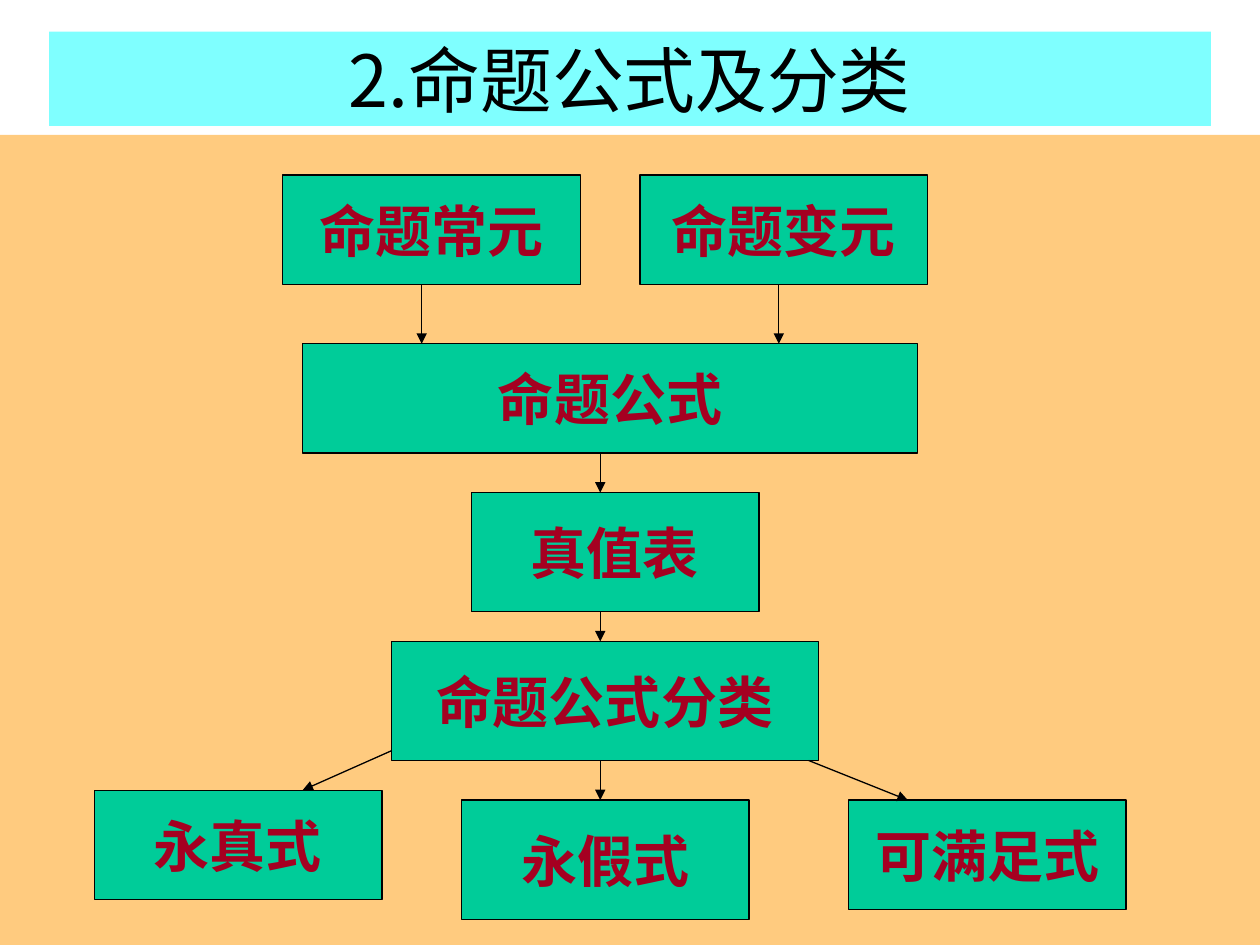
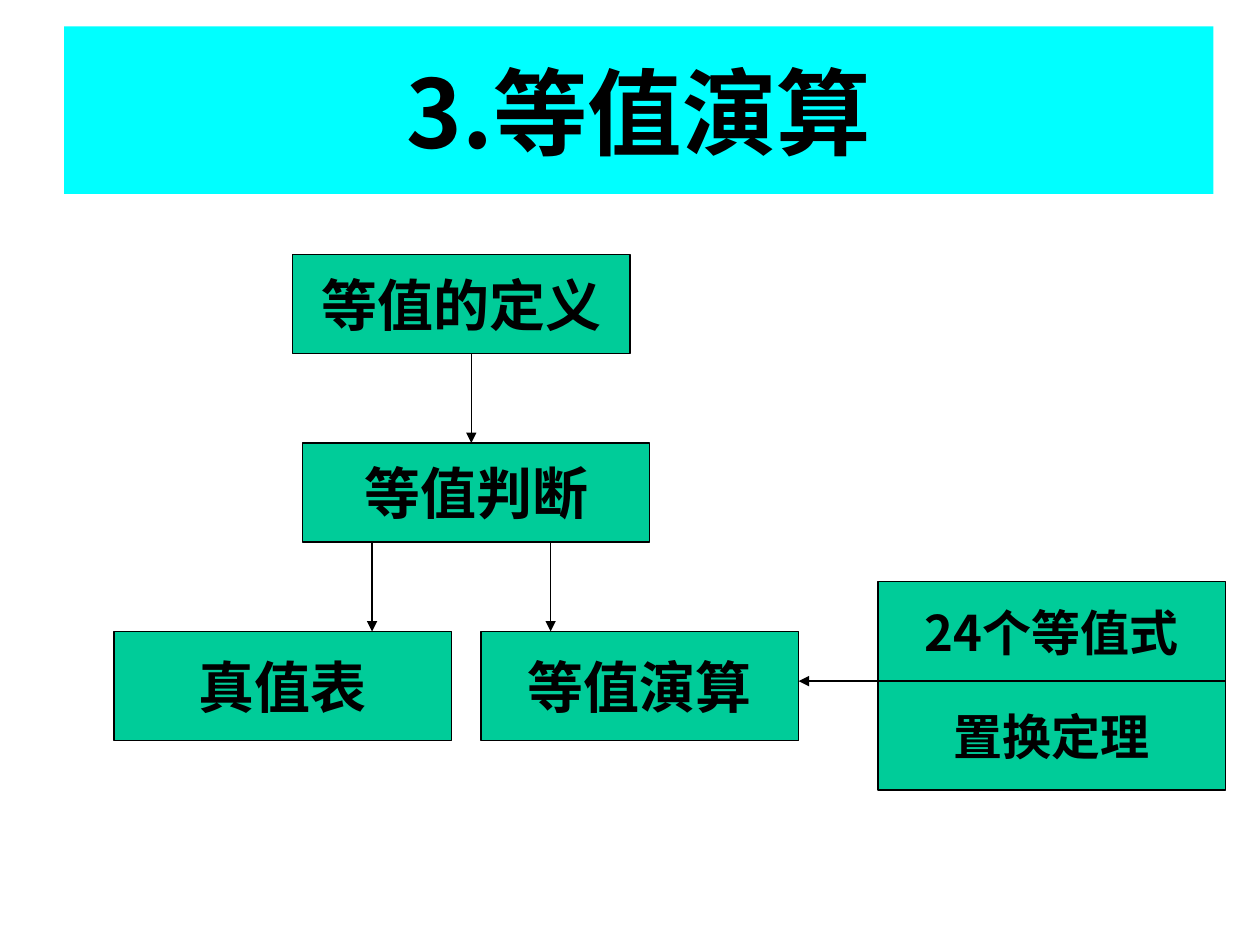
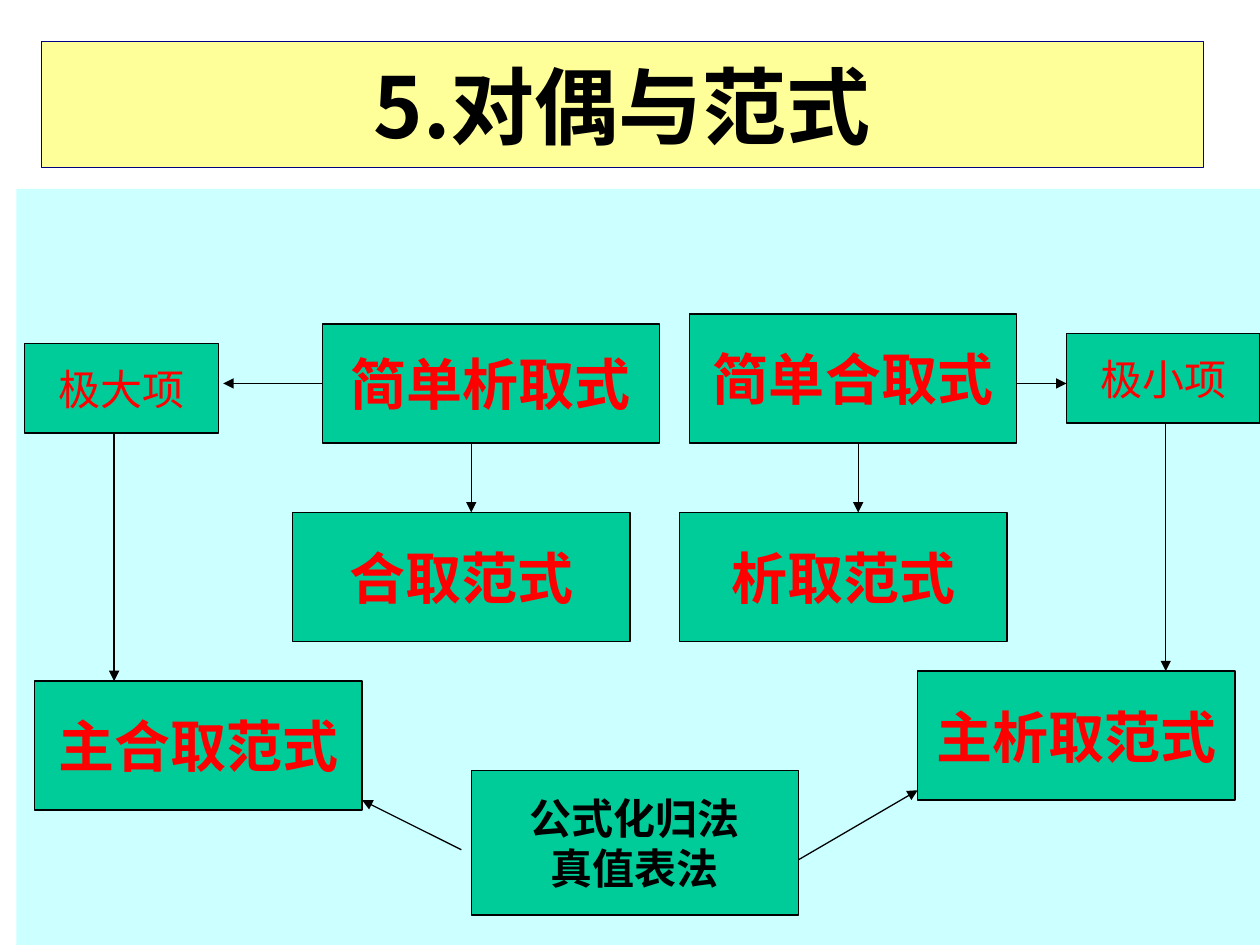
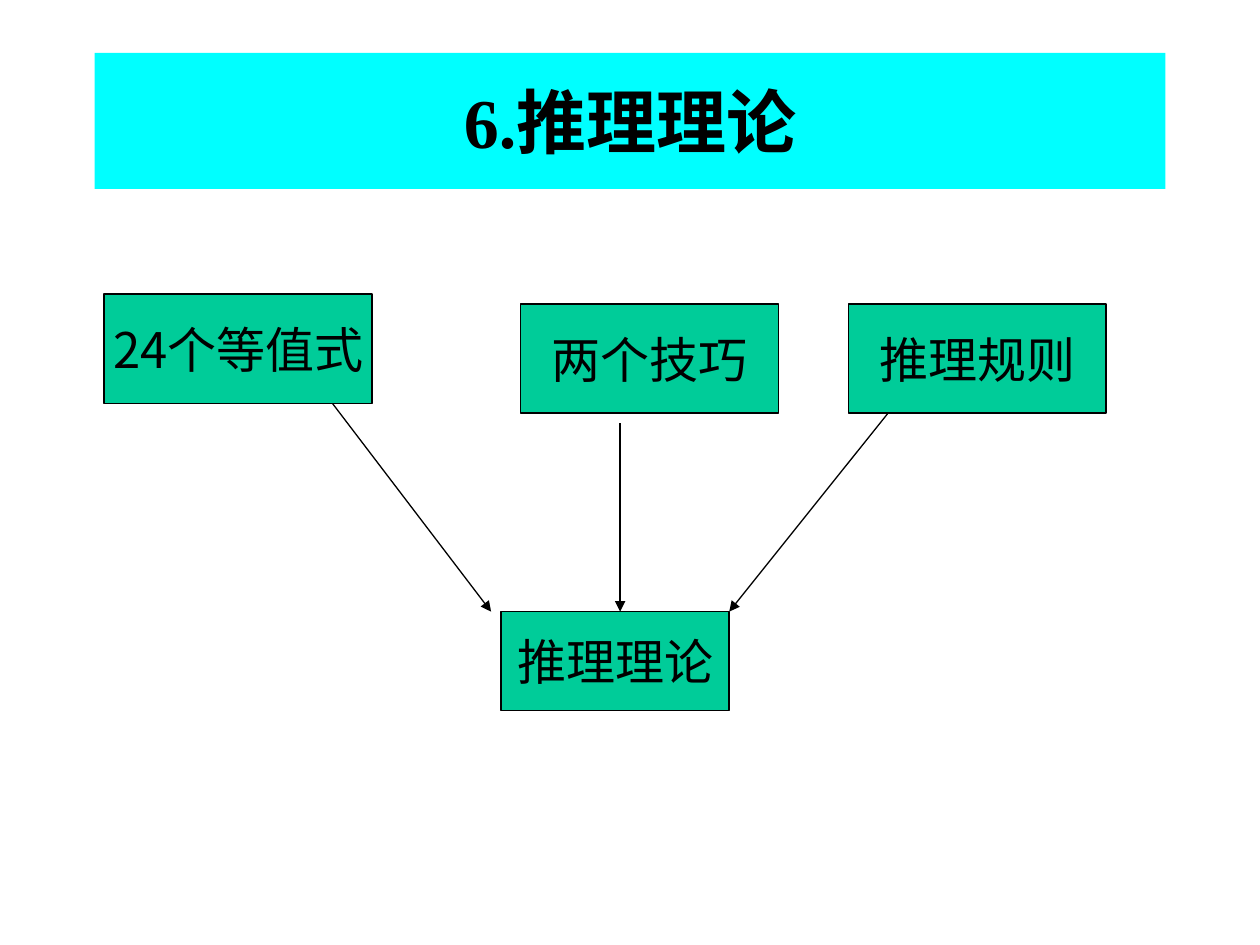
from dataclasses import dataclass

from lxml import etree
from pptx import Presentation
from pptx.dml.color import RGBColor
from pptx.enum.shapes import MSO_CONNECTOR, MSO_SHAPE
from pptx.enum.text import MSO_ANCHOR, MSO_AUTO_SIZE, PP_ALIGN
from pptx.oxml.ns import qn
from pptx.util import Inches, Mm, Pt

RECTANGLE = MSO_SHAPE.RECTANGLE
PROCESS = MSO_SHAPE.FLOWCHART_PROCESS
STRAIGHT = MSO_CONNECTOR.STRAIGHT
MIDDLE = MSO_ANCHOR.MIDDLE
CENTER = PP_ALIGN.CENTER
NO_AUTOFIT = MSO_AUTO_SIZE.NONE
TITLE_ONLY = 5

# Shared colours, fonts and line width
GREEN, CYAN, YELLOW = "00CC99", "00FFFF", "FFFF99"
ORANGE, PALE_CYAN, NAVY = "FF9900", "CCFFFF", "000080"
BLACK, CRIMSON, RED = "000000", "A50021", "FF0000"
SERIF, SANS, SANS_JP = "Times New Roman", "Noto Sans CJK SC", "Noto Sans CJK JP"
LINE_WIDTH = Pt(0.75)

# Diagram grid: 2 mm cells, counted from a small corner offset
CELL = Mm(2)
GRID_LEFT, GRID_TOP = Mm(1), Mm(1.3)


@dataclass
class NodeStyle:
    """Look of the diagram boxes on one slide."""
    color: str = BLACK
    size: int = 32
    bold: bool = True
    font: str = SERIF
    outline: int = RECTANGLE


def rgb(code):
    return RGBColor.from_string(code)


def column(number):
    return GRID_LEFT + round(number * CELL)


def row(number):
    return GRID_TOP + round(number * CELL)


def paint(shape, fill, line=None, opacity=100):
    """Fill a shape and give it a thin outline or none."""
    shape.fill.solid()
    shape.fill.fore_color.rgb = rgb(fill)
    if opacity < 100:
        color = shape.fill._xPr.find(qn("a:solidFill"))[0]
        etree.SubElement(color, qn("a:alpha"), val=str(opacity * 1000))
    if line:
        shape.line.color.rgb = rgb(line)
        shape.line.width = LINE_WIDTH
    else:
        shape.line.fill.background()


def write(shape, text, font, size, color, bold):
    """Put centred text in a shape, one paragraph per line."""
    frame = shape.text_frame
    frame.text = text
    frame.vertical_anchor = MIDDLE
    for paragraph in frame.paragraphs:
        paragraph.alignment = CENTER
        paragraph.font.name = font
        paragraph.font.size = Pt(size)
        paragraph.font.bold = bold
        paragraph.font.color.rgb = rgb(color)


def add_titled_slide(deck, text, place, size, font=SANS, bold=True,
                     fill=CYAN, line=None, opacity=100):
    """Add a slide whose title stands on a coloured band."""
    slide = deck.slides.add_slide(deck.slide_layouts[TITLE_ONLY])
    title = slide.shapes.title
    title.left, title.top, title.width, title.height = map(Inches, place)
    paint(title, fill, line, opacity)
    write(title, text, font, size, BLACK, bold)
    title.text_frame.auto_size = NO_AUTOFIT
    return slide


def add_panel(slide, place, fill, opacity=100):
    """Add the coloured ground behind a diagram."""
    panel = slide.shapes.add_shape(RECTANGLE, *map(Inches, place))
    panel.shadow.inherit = False
    paint(panel, fill, opacity=opacity)


def add_node(slide, text, left, top, columns, rows, style):
    node = slide.shapes.add_shape(
        style.outline, column(left), row(top),
        round(columns * CELL), round(rows * CELL))
    node.shadow.inherit = False
    paint(node, GREEN, BLACK)
    write(node, text, style.font, style.size, style.color, style.bold)
    node.text_frame.word_wrap = False


def add_arrow(slide, start_column, start_row, end_column, end_row):
    arrow = slide.shapes.add_connector(
        STRAIGHT, column(start_column), row(start_row),
        column(end_column), row(end_row))
    arrow.line.color.rgb = rgb(BLACK)
    arrow.line.width = LINE_WIDTH
    etree.SubElement(arrow.line._get_or_add_ln(), qn("a:tailEnd"), type="triangle")
    etree.SubElement(arrow._element.spPr, qn("a:effectLst"))


def add_diagram(slide, nodes, arrows, style):
    """Draw boxes (text, left, top, columns, rows[, style]) and arrows."""
    for text, left, top, columns, rows, *own_style in nodes:
        add_node(slide, text, left, top, columns, rows, *(own_style or [style]))
    for arrow in arrows:
        add_arrow(slide, *arrow)


def add_formula_slide(deck):
    slide = add_titled_slide(deck, "2.命题公式及分类", (0.39, 0.25, 9.22, 0.75),
                             41, SANS_JP, bold=False, opacity=50)
    add_panel(slide, (0, 1.07, 10, 6.43), ORANGE, opacity=50)
    nodes = [
        ("命题常元", 28, 17, 30, 11),
        ("命题变元", 64, 17, 29, 11),
        ("命题公式", 30, 34, 62, 11),
        ("真值表", 47, 49, 29, 12),
        ("命题公式分类", 39, 64, 43, 12),
        ("永真式", 9, 79, 29, 11),
        ("永假式", 46, 80, 29, 12),
        ("可满足式", 85, 80, 28, 11),
    ]
    arrows = [
        (42, 28, 42, 34), (78, 28, 78, 34),
        (60, 45, 60, 49), (60, 61, 60, 64),
        (39, 75, 30, 79), (60, 76, 60, 80), (81, 76, 91, 80),
    ]
    add_diagram(slide, nodes, arrows, NodeStyle(CRIMSON, outline=PROCESS))


def add_equivalence_slide(deck):
    slide = add_titled_slide(deck, "3.等值演算", (0.51, 0.21, 9.12, 1.33), 54)
    nodes = [
        ("等值的定义", 29, 25, 34, 10),
        ("等值判断", 30, 44, 35, 10),
        ("真值表", 11, 63, 34, 11),
        ("等值演算", 48, 63, 32, 11),
        ("24个等值式", 88, 58, 35, 10, NodeStyle(size=28, font=SANS)),
        ("置换定理", 88, 68, 35, 11, NodeStyle(size=28)),
    ]
    arrows = [
        (47, 35, 47, 44), (37, 54, 37, 63),
        (55, 54, 55, 63), (88, 68, 80, 68),
    ]
    add_diagram(slide, nodes, arrows, NodeStyle())


def add_normal_form_slide(deck):
    slide = add_titled_slide(deck, "5.对偶与范式", (0.33, 0.33, 9.22, 1), 48,
                             fill=YELLOW, line=NAVY)
    add_panel(slide, (0.13, 1.5, 9.87, 6), PALE_CYAN)
    term = NodeStyle(RED, size=24, bold=False)
    method = NodeStyle(size=24, font=SANS)
    nodes = [
        ("简单析取式", 32, 32, 34, 12),
        ("简单合取式", 69, 31, 33, 13),
        ("合取范式", 29, 51, 34, 13),
        ("析取范式", 68, 51, 33, 13),
        ("极大项", 2, 34, 19.5, 9, term),
        ("极小项", 107, 33, 19.5, 9, term),
        ("主合取范式", 3, 68, 33, 13),
        ("主析取范式", 92, 67, 32, 13),
        ("公式化归法\n真值表法", 47, 77, 33, 14.6, method),
    ]
    arrows = [
        (47, 44, 47, 51), (86, 44, 86, 51),
        (32, 38, 22, 38), (102, 38, 107, 38),
        (11, 43, 11, 68), (117, 42, 117, 67),
        (46, 85, 36, 80), (80, 86, 92, 79),
    ]
    add_diagram(slide, nodes, arrows, NodeStyle(RED))


def add_inference_slide(deck):
    slide = add_titled_slide(deck, "6.推理理论", (0.75, 0.42, 8.5, 1.08), 40, SERIF)
    nodes = [
        ("24个等值式", 10, 29, 27, 11, NodeStyle(size=28, bold=False, font=SANS)),
        ("两个技巧", 52, 30, 26, 11),
        ("推理规则", 85, 30, 26, 11),
        ("推理理论", 50, 61, 23, 10),
    ]
    arrows = [(33, 40, 49, 61), (62, 42, 62, 61), (89, 41, 73, 61)]
    add_diagram(slide, nodes, arrows, NodeStyle(size=28, bold=False))


def main():
    deck = Presentation()
    deck.slide_width, deck.slide_height = Inches(10), Inches(7.5)
    add_formula_slide(deck)
    add_equivalence_slide(deck)
    add_normal_form_slide(deck)
    add_inference_slide(deck)
    deck.save("out.pptx")


if __name__ == "__main__":
    main()
